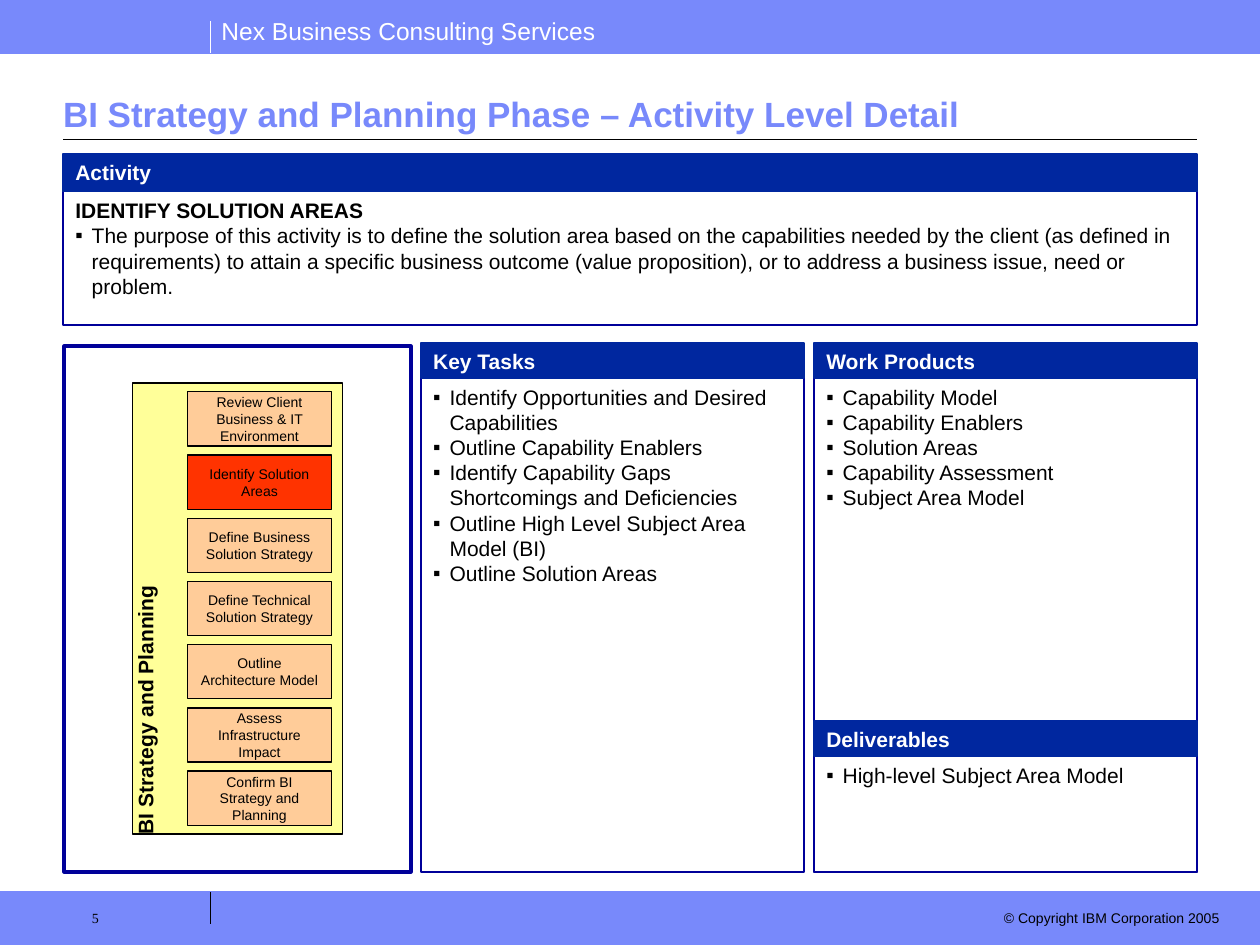
from dataclasses import dataclass

from lxml.etree import SubElement
from pptx import Presentation
from pptx.dml.color import RGBColor
from pptx.enum.shapes import MSO_CONNECTOR, MSO_SHAPE
from pptx.enum.text import MSO_ANCHOR as ANCHOR, MSO_AUTO_SIZE, PP_ALIGN as ALIGN
from pptx.oxml.ns import qn
from pptx.util import Inches, Pt

WHITE = RGBColor(0xFF, 0xFF, 0xFF)
BLACK = RGBColor(0, 0, 0)
PERIWINKLE = RGBColor(0x78, 0x89, 0xFB)
NAVY = RGBColor(0x00, 0x27, 0x9F)
BORDER = RGBColor(0, 0, 0x99)
YELLOW = RGBColor(0xFF, 0xFF, 0x99)
PEACH = RGBColor(0xFF, 0xCC, 0x99)
RED = RGBColor(0xFF, 0x33, 0x00)

BODY = {"name": "Arial", "size": Pt(12), "bold": False, "color": BLACK}
BOLD = BODY | {"bold": True}
HEADING = BOLD | {"color": WHITE}
SMALL = BODY | {"size": Pt(8)}
MARGINS = (0.1, 0.05, 0.1, 0.05)
HANGING = 0.13


@dataclass
class Panel:
    heading: str
    left: float
    top: float
    width: float
    height: float
    bullets: list[str]
    head_height: float = 0.28
    lead: str = ""


PANELS = [
    Panel("Activity", 0.5, 1.22, 9, 1.36, [
        "The purpose of this activity is to define the solution area based on the "
        "capabilities needed by the client (as defined in requirements) to attain a "
        "specific business outcome (value proposition), or to address a business "
        "issue, need or problem.",
    ], 0.3, "IDENTIFY SOLUTION AREAS"),
    Panel("Key Tasks", 3.34, 2.72, 3.04, 4.2, [
        "Identify Opportunities and Desired Capabilities",
        "Outline Capability Enablers",
        "Identify Capability Gaps Shortcomings and Deficiencies",
        "Outline High Level Subject Area Model (BI)",
        "Outline Solution Areas",
    ]),
    Panel("Work Products", 6.46, 2.72, 3.04, 4.2, [
        "Capability Model",
        "Capability Enablers",
        "Solution Areas",
        "Capability Assessment",
        "Subject Area Model",
    ]),
    Panel("Deliverables", 6.46, 5.72, 3.04, 1.2, ["High-level Subject Area Model"]),
]

STEPS = [
    "Review Client Business & IT Environment",
    "Identify Solution Areas",
    "Define Business Solution Strategy",
    "Define Technical Solution Strategy",
    "Outline Architecture Model",
    "Assess Infrastructure Impact",
    "Confirm BI Strategy and Planning",
]
CURRENT_STEP = "Identify Solution Areas"
FIRST_STEP_TOP, LAST_STEP_TOP = 3.11, 6.12


def format_font(font, style: dict) -> None:
    for key, value in style.items():
        if key == "color":
            font.color.rgb = value
        else:
            setattr(font, key, value)


def format_frame(tf, margins=MARGINS, anchor=ANCHOR.TOP, wrap=True) -> None:
    tf.auto_size = MSO_AUTO_SIZE.NONE
    tf.word_wrap = wrap
    tf.vertical_anchor = anchor
    for side, margin in zip(("left", "top", "right", "bottom"), margins):
        setattr(tf, f"margin_{side}", Inches(margin))


def write(p, text: str, style: dict, align=ALIGN.LEFT) -> None:
    p.alignment = align
    r = p.add_run()
    r.text = text
    format_font(r.font, style)


def add_bullet(p) -> None:
    pPr = p._p.get_or_add_pPr()
    pPr.set("marL", str(Inches(HANGING)))
    pPr.set("indent", str(-Inches(HANGING)))
    color = SubElement(pPr, qn("a:buClr"))
    SubElement(color, qn("a:srgbClr"), val=str(BLACK))
    SubElement(pPr, qn("a:buFont"), typeface="Arial")
    SubElement(pPr, qn("a:buChar"), char="▪")


def add_box(shapes, left: float, top: float, width: float, height: float,
            fill: RGBColor | None, line: RGBColor, line_width: float = 1):
    sp = shapes.add_shape(MSO_SHAPE.RECTANGLE, Inches(left), Inches(top),
                          Inches(width), Inches(height))
    sp.shadow.inherit = False
    if fill is None:
        sp.fill.background()
    else:
        sp.fill.solid()
        sp.fill.fore_color.rgb = fill
    sp.line.color.rgb = line
    sp.line.width = Pt(line_width)
    return sp


def add_text(shapes, left: float, top: float, width: float, height: float,
             text: str, style: dict, align=ALIGN.LEFT, **frame) -> None:
    tf = shapes.add_textbox(Inches(left), Inches(top),
                            Inches(width), Inches(height)).text_frame
    format_frame(tf, **frame)
    write(tf.paragraphs[0], text, style, align)


def add_rule(shapes, x1: float, y1: float, x2: float, y2: float,
             color: RGBColor, width: float = 0.75) -> None:
    rule = shapes.add_connector(MSO_CONNECTOR.STRAIGHT, Inches(x1), Inches(y1),
                                Inches(x2), Inches(y2))
    rule.line.color.rgb = color
    rule.line.width = Pt(width)
    SubElement(rule._element.spPr, qn("a:effectLst"))


def add_panel(shapes, panel: Panel) -> None:
    body = add_box(shapes, panel.left, panel.top + panel.head_height, panel.width,
                   panel.height - panel.head_height, None, BORDER)
    tf = body.text_frame
    format_frame(tf)
    p = tf.paragraphs[0]
    if panel.lead:
        write(p, panel.lead, BOLD)
        p = tf.add_paragraph()
    for i, bullet in enumerate(panel.bullets):
        if i:
            p = tf.add_paragraph()
        add_bullet(p)
        write(p, bullet, BODY)

    head = add_box(shapes, panel.left, panel.top, panel.width, panel.head_height,
                   NAVY, NAVY)
    format_frame(head.text_frame)
    write(head.text_frame.paragraphs[0], panel.heading, HEADING)


def add_phase_diagram(shapes) -> None:
    add_box(shapes, 0.51, 2.75, 2.75, 4.17, None, BORDER, 2.25)
    group = shapes.add_group_shape().shapes
    phase = add_box(group, 1.05, 3.04, 1.67, 3.58, YELLOW, BLACK, 0.75)
    phase.rotation = 180
    tf = phase.text_frame
    format_frame(tf, (0.05, 0, 0, 0.1), wrap=False)
    tf._txBody.bodyPr.set("vert", "eaVert")
    write(tf.paragraphs[0], "BI Strategy and Planning", BOLD, ALIGN.CENTER)

    pitch = (LAST_STEP_TOP - FIRST_STEP_TOP) / (len(STEPS) - 1)
    for i, step in enumerate(STEPS):
        fill = RED if step == CURRENT_STEP else PEACH
        box = add_box(group, 1.49, FIRST_STEP_TOP + i * pitch, 1.14, 0.43,
                      fill, BLACK, 0.75)
        format_frame(box.text_frame, anchor=ANCHOR.MIDDLE)
        write(box.text_frame.paragraphs[0], step, SMALL, ALIGN.CENTER)


def add_bands(shapes) -> None:
    """Draw the header and footer with their text and the rule under the title."""
    for top, edge in ((7.08, 7.08), (0, 0.42)):
        add_box(shapes, 0, top, 10, 0.42, PERIWINKLE, PERIWINKLE, 0.75)
        add_rule(shapes, 0, edge, 10, edge, PERIWINKLE, 0.5)
    add_text(shapes, 1.66, 0.08, 3.17, 0.34, "Nex Business Consulting Services",
             BODY | {"size": Pt(14), "color": WHITE}, wrap=False)
    add_rule(shapes, 1.67, 0.42, 1.67, 0.17, WHITE)
    add_rule(shapes, 0.5, 1.11, 9.5, 1.11, BLACK)
    add_rule(shapes, 1.67, 7.33, 1.67, 7.08, BLACK)
    add_text(shapes, 7.83, 7.17, 1.95, 0.24, "© Copyright IBM Corporation 2005",
             SMALL, ALIGN.RIGHT)
    add_text(shapes, 0.33, 7.15, 1.33, 0.35, "5", SMALL | {"name": "Times New Roman"},
             margins=(0.4, 0.07, 0.1, 0.05))


def format_title(title) -> None:
    title.left, title.top = Inches(0.5), Inches(0.67)
    title.width, title.height = Inches(9), Inches(0.45)
    format_frame(title.text_frame, (0, 0.05, 0, 0.05), ANCHOR.BOTTOM)
    write(title.text_frame.paragraphs[0],
          "BI Strategy and Planning Phase – Activity Level Detail",
          BOLD | {"size": Pt(20), "color": PERIWINKLE})


def main() -> None:
    prs = Presentation()
    prs.slide_width, prs.slide_height = Inches(10), Inches(7.5)
    s = prs.slides.add_slide(prs.slide_layouts[5])
    add_bands(s.shapes)
    format_title(s.shapes.title)
    for panel in PANELS:
        add_panel(s.shapes, panel)
    add_phase_diagram(s.shapes)
    prs.save("out.pptx")


if __name__ == "__main__":
    main()
